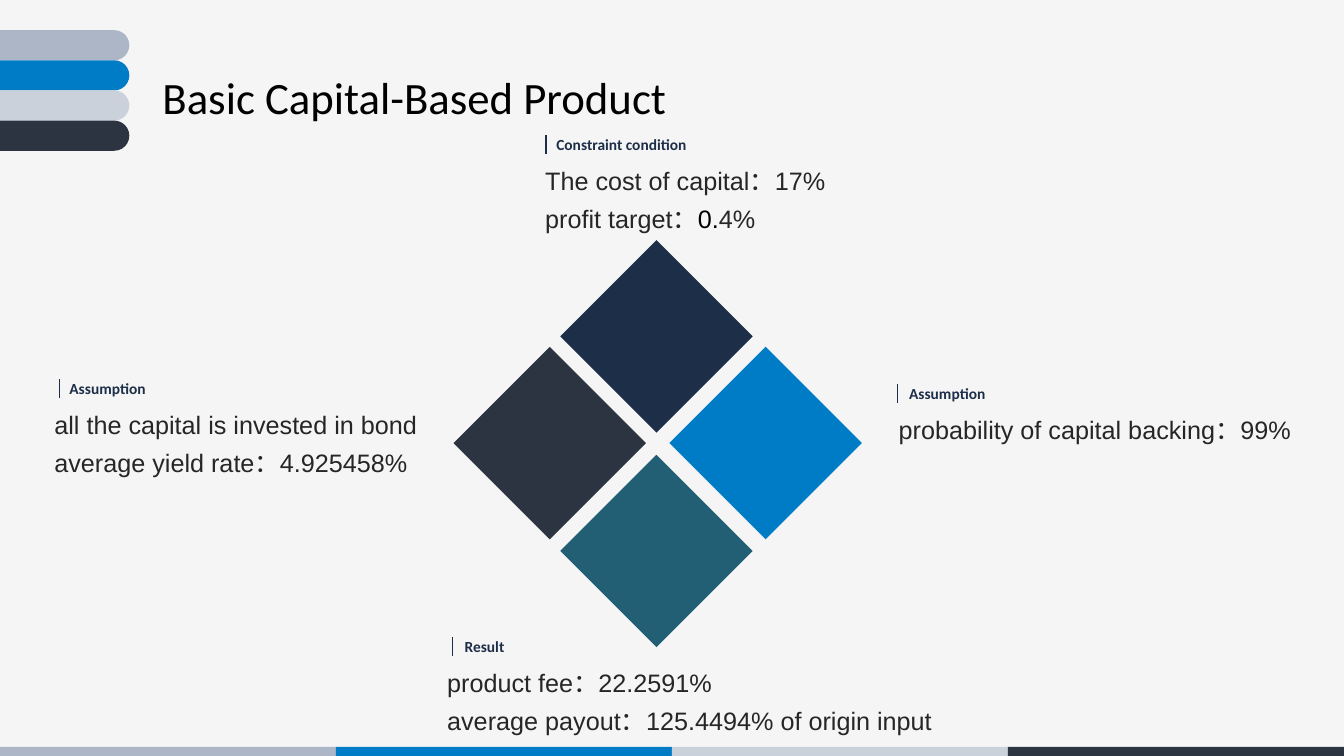
from dataclasses import dataclass

from lxml.etree import SubElement
from pptx import Presentation
from pptx.dml.color import RGBColor
from pptx.enum.shapes import MSO_CONNECTOR, MSO_SHAPE
from pptx.enum.text import MSO_ANCHOR, MSO_AUTO_SIZE, PP_ALIGN
from pptx.oxml.ns import qn
from pptx.util import Cm, Pt

NAVY, SLATE, BLUE, TEAL = "1C2E48", "2C3441", "007BC6", "225F74"
GREY, PALE, INK, BLACK = "ADB6C7", "CBD1DB", "262626", "000000"
BAND_COLOURS = (GREY, BLUE, PALE, SLATE)
SLIDE_W, SLIDE_H = 33.87, 19.05

TITLE_FONT = {"name": "Calibri", "size": Pt(32), "bold": False}
LABEL_FONT = {"name": "Calibri", "size": Pt(11), "bold": True}
BODY_FONT = {"name": "Arial", "size": Pt(18), "bold": False}


@dataclass
class Run:
    text: str
    colour: str = INK


@dataclass
class Diamond:
    left: float
    top: float
    colour: str


@dataclass
class Note:
    label: str
    left: float
    top: float
    width: float
    bar_left: float
    body_left: float
    body_width: float
    lines: list[list[Run]]
    align: PP_ALIGN = PP_ALIGN.LEFT


DIAMOND_SIZE = 4.85
DIAMONDS = [
    Diamond(14.12, 6.05, NAVY),
    Diamond(11.43, 8.74, SLATE),
    Diamond(14.12, 11.46, TEAL),
    Diamond(16.87, 8.74, BLUE),
]

NOTES = [
    Note("Assumption", 1.5, 9.42, 2.97, 1.49, 1.12, 11.15,
         [[Run("all the capital is invested in bond")],
          [Run("average yield rate：4.925458%")]]),
    Note("Assumption", 22.66, 9.55, 3, 22.62, 21.95, 11.28,
         [[Run("probability of capital backing：99%")]], PP_ALIGN.CENTER),
    Note("Constraint condition", 13.77, 3.28, 3.81, 13.76, 13.49, 8.46,
         [[Run("The cost of capital：17%")],
          [Run("profit target："), Run("0.", BLACK), Run("4%")]]),
    Note("Result", 11.46, 15.92, 3.84, 11.4, 11.02, 14.43,
         [[Run("product fee：22.2591%")],
          [Run("average payout：125.4494% of origin input")]]),
]


def rgb(colour: str) -> RGBColor:
    return RGBColor.from_string(colour)


def add_block(s, kind: MSO_SHAPE, left: float, top: float,
              width: float, height: float, colour: str):
    sp = s.shapes.add_shape(kind, Cm(left), Cm(top), Cm(width), Cm(height))
    sp.shadow.inherit = False
    sp.fill.solid()
    sp.fill.fore_color.rgb = rgb(colour)
    sp.line.fill.background()
    return sp


def write_text(tf, lines: list[list[Run]], font: dict,
               align: PP_ALIGN = PP_ALIGN.LEFT, spacing: float = 1.0) -> None:
    tf.word_wrap = True
    tf.auto_size = MSO_AUTO_SIZE.NONE
    tf.vertical_anchor = MSO_ANCHOR.TOP
    for i, line in enumerate(lines):
        p = tf.add_paragraph() if i else tf.paragraphs[0]
        p.alignment, p.line_spacing = align, spacing
        for run in line:
            r = p.add_run()
            r.text = run.text
            r.font.color.rgb = rgb(run.colour)
            for key, value in font.items():
                setattr(r.font, key, value)


def add_text(s, left: float, top: float, width: float, height: float,
             *text_args) -> None:
    sp = s.shapes.add_textbox(Cm(left), Cm(top), Cm(width), Cm(height))
    write_text(sp.text_frame, *text_args)


def add_bar(s, left: float, top: float, length: float) -> None:
    x = Cm(left)
    bar = s.shapes.add_connector(MSO_CONNECTOR.STRAIGHT, x, Cm(top), x, Cm(top + length))
    bar.line.color.rgb = rgb(NAVY)
    bar.line.width = Pt(0.75)
    SubElement(bar._element.spPr, qn("a:effectLst"))


def add_note(s, note: Note) -> None:
    body_height = 0.06 + 1.06 * len(note.lines)
    add_text(s, note.body_left, note.top + 0.58, note.body_width, body_height,
             note.lines, BODY_FONT, note.align, 1.25)
    add_text(s, note.left, note.top, note.width, 0.71,
             [[Run(note.label, NAVY)]], LABEL_FONT)
    add_bar(s, note.bar_left, note.top + 0.13, 0.48)


def main() -> None:
    prs = Presentation()
    prs.slide_width, prs.slide_height = Cm(SLIDE_W), Cm(SLIDE_H)
    s = prs.slides.add_slide(prs.slide_layouts[5])
    s.background.fill.solid()
    s.background.fill.fore_color.rgb = rgb("F5F5F5")

    # Bottom strip and corner pills
    strip_w, strip_h, pill_h = SLIDE_W / len(BAND_COLOURS), 0.23, 0.76
    for i, colour in enumerate(BAND_COLOURS):
        add_block(s, MSO_SHAPE.RECTANGLE, i * strip_w, SLIDE_H - strip_h,
                  strip_w, strip_h, colour)
        pill = add_block(s, MSO_SHAPE.ROUNDED_RECTANGLE, -1.57, (i + 1) * pill_h,
                         4.83, pill_h, colour)
        pill.adjustments[0] = 0.5

    # Title
    title = s.shapes.title
    title.left, title.top, title.width, title.height = (
        Cm(3.84), Cm(1.63), Cm(14.81), Cm(1.63))
    write_text(title.text_frame, [[Run("Basic Capital-Based Product", BLACK)]], TITLE_FONT)

    # Diamonds and the notes around them
    for d in DIAMONDS:
        add_block(s, MSO_SHAPE.DIAMOND, d.left, d.top, DIAMOND_SIZE, DIAMOND_SIZE, d.colour)
    for note in NOTES:
        add_note(s, note)

    prs.save("out.pptx")


if __name__ == "__main__":
    main()
